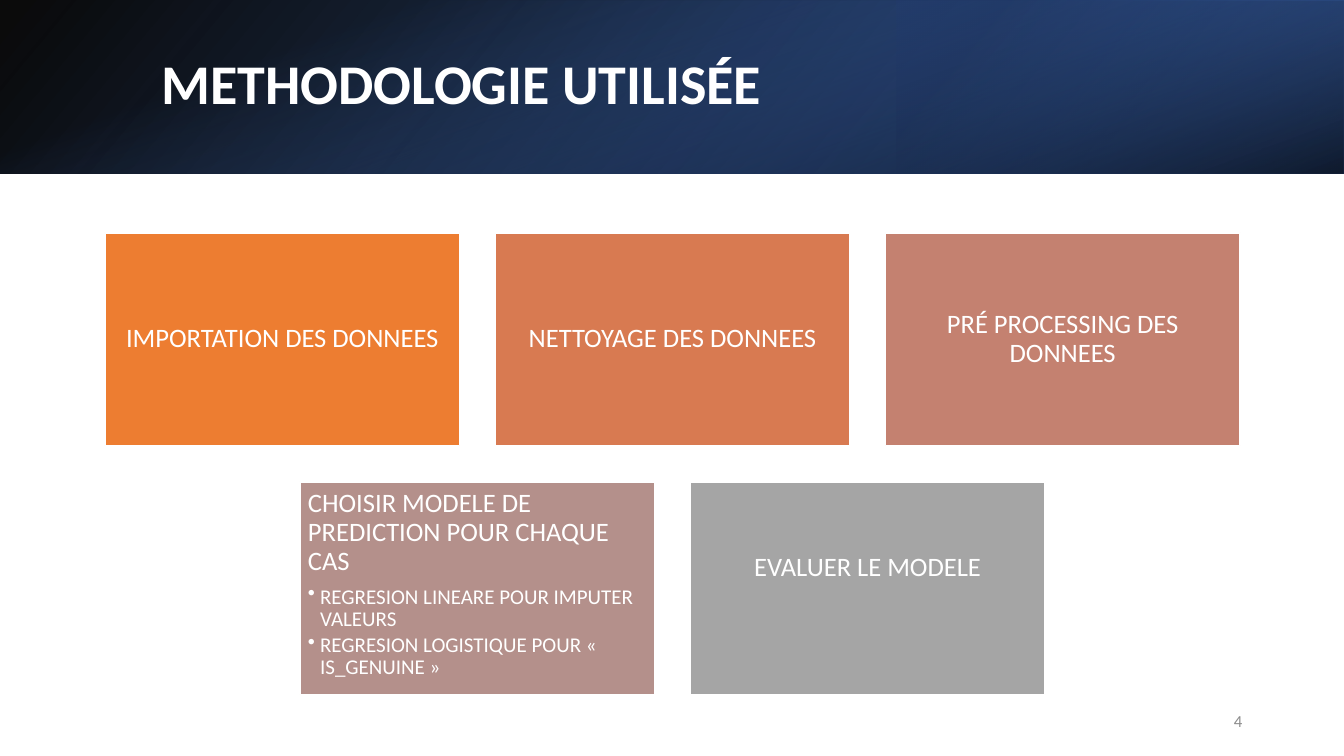
import pptx
import pptx.util
import pptx.dml.color
import pptx.enum.shapes
import pptx.enum.text
import pptx.oxml
import pptx.oxml.ns

Inches, Pt = pptx.util.Inches, pptx.util.Pt
ALIGN, ANCHOR = pptx.enum.text.PP_ALIGN, pptx.enum.text.MSO_ANCHOR
RECTANGLE = pptx.enum.shapes.MSO_SHAPE.RECTANGLE
qn = pptx.oxml.ns.qn

# Content
TITLE = "METHODOLOGIE UTILISÉE"
PAGE_NUMBER = "4"
ROWS = [
    [("IMPORTATION DES DONNEES", [], "orange"),
     ("NETTOYAGE DES DONNEES", [], "copper"),
     ("PRÉ PROCESSING DES DONNEES", [], "rose")],
    [("CHOISIR MODELE DE PREDICTION POUR CHAQUE CAS",
      ["REGRESION LINEARE POUR IMPUTER VALEURS",
       "REGRESION LOGISTIQUE POUR « IS_GENUINE »"], "mauve"),
     ("EVALUER LE MODELE", [], "gray")],
]
COLORS = {"white": "FFFFFF", "orange": "ED7D31", "copper": "D87A51",
          "rose": "C48170", "mauve": "B4908B", "gray": "A5A5A5",
          "number": "8C8C8C", "black": "000000", "blue": "2F5597",
          "navy": "203864", "bright": "4472C4"}

# Banner layers: place, rotation, flipped, angle, stops (position, colour, opacity)
BANNER = [
    ((0, 0, 13.33, 1.72), 0, True, 140,
     [(0, "black", 96), (100, "blue", 100)]),
    ((8.89, 0, 4.44, 1.72), 180, True, 320,
     [(19, "navy", 68), (100, "bright", 79)]),
    ((5.8, -5.8, 1.72, 13.33), 90, False, 340,
     [(23, "bright", 0), (99, "black", 74)]),
]

# Card grid
CARD_WIDTH, CARD_HEIGHT = 3.52, 2.11
STEP_X, STEP_Y = 3.87, 2.47
CENTER_X, GRID_TOP = 6.67, 2.31

HEADING = {"size": Pt(19), "name": "Calibri", "color": "white"}
BULLET = {"size": Pt(15), "name": "Calibri", "color": "white"}


def rgb(name):
    return pptx.dml.color.RGBColor.from_string(COLORS[name])


def set_font(font, formats):
    for key, value in formats.items():
        if key == "color":
            font.color.rgb = rgb(value)
        else:
            setattr(font, key, value)


def set_frame(frame, anchor, inset):
    formats = {"word_wrap": True, "vertical_anchor": anchor}
    formats.update({f"margin_{side}": Inches(inset)
                    for side in ("left", "top", "right", "bottom")})
    for key, value in formats.items():
        setattr(frame, key, value)


def add_rectangle(place):
    box = page.shapes.add_shape(RECTANGLE, *map(Inches, place))
    box.shadow.inherit = False
    return box


def fill_gradient(box, angle, stops):
    marks = "".join(
        f'<a:gs pos="{position * 1000}"><a:srgbClr val="{COLORS[color]}">'
        f'<a:alpha val="{opacity * 1000}"/></a:srgbClr></a:gs>'
        for position, color, opacity in stops)
    gradient = pptx.oxml.parse_xml(
        f'<a:gradFill {pptx.oxml.ns.nsdecls("a")} rotWithShape="1">'
        f'<a:gsLst>{marks}</a:gsLst>'
        f'<a:lin ang="{angle * 60000}" scaled="0"/></a:gradFill>')
    box._element.spPr.find(qn("a:prstGeom")).addnext(gradient)


def add_bullet(para):
    properties = para._p.get_or_add_pPr()
    properties.set("marL", str(Inches(0.12)))
    properties.set("indent", str(Inches(-0.12)))
    mark = pptx.oxml.parse_xml(
        f'<a:buChar {pptx.oxml.ns.nsdecls("a")} char="•"/>')
    properties.append(mark)


def add_card(left, top, heading, bullets, color):
    box = add_rectangle((left, top, CARD_WIDTH, CARD_HEIGHT))
    box.fill.solid()
    box.fill.fore_color.rgb = rgb(color)
    box.line.color.rgb = rgb("white")
    box.line.width = Pt(1)
    frame = box.text_frame
    set_frame(frame, ANCHOR.TOP if bullets else ANCHOR.MIDDLE, 0.08)
    para = frame.paragraphs[0]
    para.text = heading
    para.alignment = ALIGN.LEFT if bullets else ALIGN.CENTER
    para.line_spacing = 0.9
    set_font(para.font, HEADING)
    if bullets:
        para.space_after = Pt(7)
    for text in bullets:
        para = frame.add_paragraph()
        para.text = text
        add_bullet(para)
        para.alignment = ALIGN.LEFT
        para.line_spacing = 0.9
        para.space_after = Pt(2)
        set_font(para.font, BULLET)
    return box


deck = pptx.Presentation()
deck.slide_width, deck.slide_height = Inches(13.33), Inches(7.5)
page = deck.slides.add_slide(deck.slide_layouts[5])
title = page.shapes.title

# Banner
for place, rotation, flipped, angle, stops in BANNER:
    layer = add_rectangle(place)
    layer.rotation = rotation
    if flipped:
        layer._element.spPr.find(qn("a:xfrm")).set("flipH", "1")
    layer.line.fill.background()
    fill_gradient(layer, angle, stops)

# Title, brought in front of the banner
page.shapes._spTree.append(title._element)
title.left, title.top, title.width, title.height = map(
    Inches, (1.5, 0.38, 10.98, 0.96))
title.text = TITLE
title.text_frame.vertical_anchor = ANCHOR.MIDDLE
para = title.text_frame.paragraphs[0]
para.alignment = ALIGN.LEFT
para.line_spacing = 0.9
set_font(para.font, {"size": Pt(40), "name": "Calibri",
                     "bold": True, "color": "white"})

# Cards, each row centred
for row, cards in enumerate(ROWS):
    row_width = CARD_WIDTH + STEP_X * (len(cards) - 1)
    for column, card in enumerate(cards):
        left = CENTER_X - row_width / 2 + column * STEP_X
        box = add_card(left, GRID_TOP + row * STEP_Y, *card)
# The last heading sits above the middle of its card
box.text_frame.margin_bottom = Inches(0.48)

# Page number
number = page.shapes.add_textbox(*map(Inches, (9.42, 6.95, 3, 0.4)))
set_frame(number.text_frame, ANCHOR.MIDDLE, 0.1)
para = number.text_frame.paragraphs[0]
para.text = PAGE_NUMBER
para.alignment = ALIGN.RIGHT
set_font(para.font, {"size": Pt(12), "name": "Calibri", "color": "number"})

deck.save("out.pptx")
